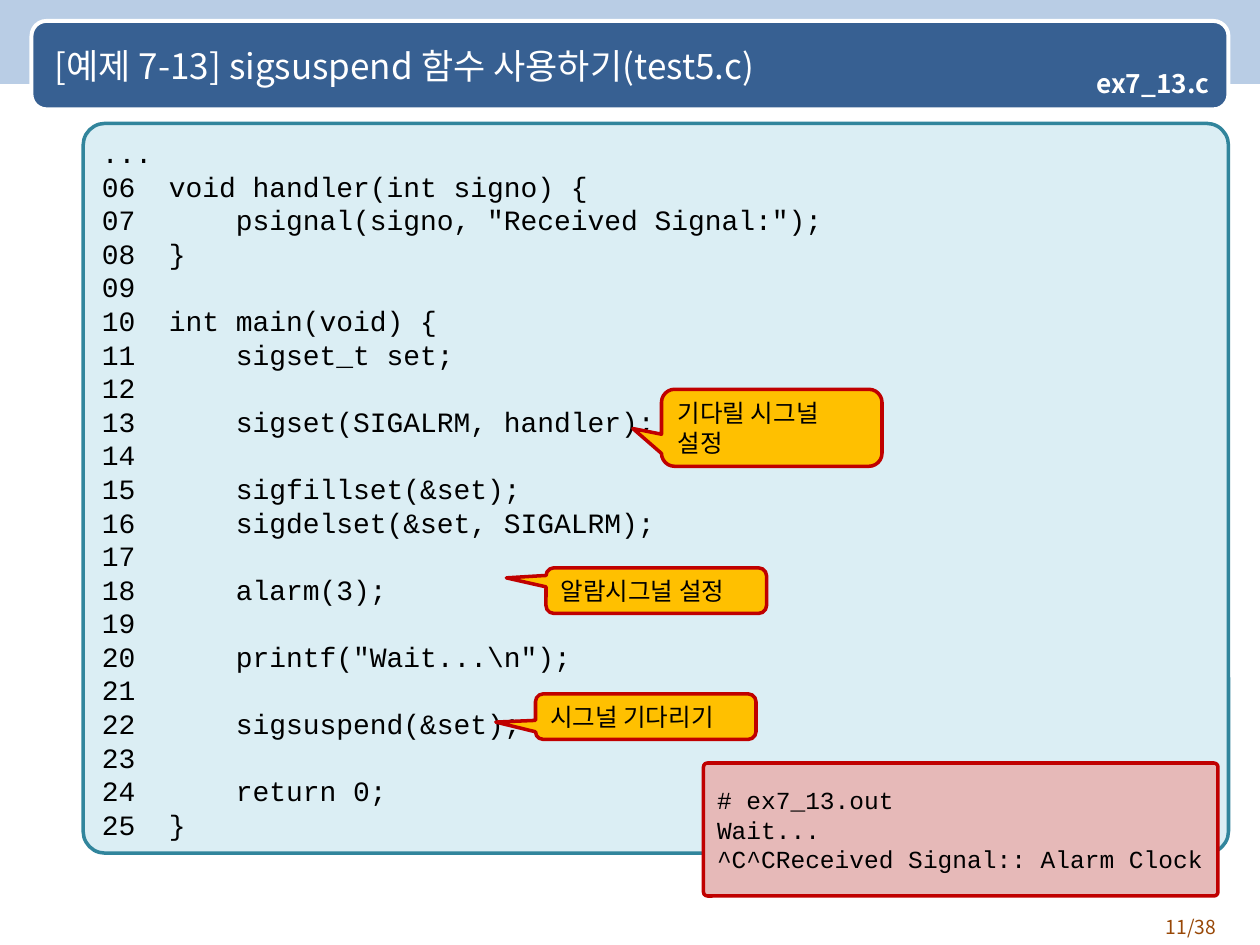
"""Build the slide that explains a sigsuspend code example."""
from dataclasses import dataclass

from lxml import etree
from pptx import Presentation
from pptx.dml.color import RGBColor
from pptx.enum.shapes import MSO_SHAPE
from pptx.enum.text import MSO_ANCHOR, MSO_AUTO_SIZE, PP_ALIGN
from pptx.oxml.ns import qn
from pptx.util import Pt

RECTANGLE = MSO_SHAPE.RECTANGLE
ROUNDED = MSO_SHAPE.ROUNDED_RECTANGLE
CALLOUT = MSO_SHAPE.ROUNDED_RECTANGULAR_CALLOUT
LEFT, RIGHT = PP_ALIGN.LEFT, PP_ALIGN.RIGHT
MIDDLE, NO_FIT = MSO_ANCHOR.MIDDLE, MSO_AUTO_SIZE.NONE


@dataclass(frozen=True)
class Theme:
    sans: str = "Noto Sans CJK KR"
    mono: str = "Courier New"
    band: str = "B9CDE5"
    bar: str = "376092"
    white: str = "FFFFFF"
    black: str = "000000"
    code_fill: str = "DBEEF4"
    code_line: str = "31859C"
    output_fill: str = "E6B9B8"
    note_fill: str = "FFC000"
    accent: str = "C00000"
    page: str = "984807"
    title_size: float = 20
    code_size: float = 16
    file_size: float = 15
    note_size: float = 14
    page_size: float = 11
    bar_line: float = 2.25
    box_line: float = 2


THEME = Theme()
TITLE = "[예제 7-13] sigsuspend 함수 사용하기(test5.c)"
FILE_NAME = "ex7_13.c"
PAGE = "11/38"
FIRST_LINE = 6
CODE = [
    "void handler(int signo) {",
    '    psignal(signo, "Received Signal:");',
    "}",
    "",
    "int main(void) {",
    "    sigset_t set;",
    "",
    "    sigset(SIGALRM, handler);",
    "",
    "    sigfillset(&set);",
    "    sigdelset(&set, SIGALRM);",
    "",
    "    alarm(3);",
    "",
    '    printf("Wait...\\n");',
    "",
    "    sigsuspend(&set);",
    "",
    "    return 0;",
    "}",
]
OUTPUT = ["# ex7_13.out", "Wait...", "^C^CReceived Signal:: Alarm Clock"]
NOTE_WIDTH = 126
NOTES = [
    ("기다릴 시그널 설정", 378, 222.5, 44, (-0.63, 0.01)),
    ("알람시그널 설정", 312, 324.5, 26, (-0.68, -0.28)),
    ("시그널 기다리기", 306, 396.5, 26, (-0.68, 0.12)),
]


def color(value):
    return RGBColor.from_string(value)


def add_box(slide, kind, frame, fill, line=None, width=THEME.box_line, adjustments=()):
    shape = slide.shapes.add_shape(kind, *map(Pt, frame))
    shape.shadow.inherit = False
    shape.fill.solid()
    shape.fill.fore_color.rgb = color(fill)
    if line:
        shape.line.color.rgb = color(line)
        shape.line.width = Pt(width)
    else:
        shape.line.fill.background()
    for index, value in enumerate(adjustments):
        shape.adjustments[index] = value
    return shape


def write(shape, lines, size, ink, font, align=LEFT, bold=False):
    text_frame = shape.text_frame
    text_frame.text = "\n".join(lines)
    text_frame.word_wrap = True
    text_frame.auto_size = NO_FIT
    text_frame.vertical_anchor = MIDDLE
    for paragraph in text_frame.paragraphs:
        paragraph.alignment = align
        for run in paragraph.runs:
            run.font.size = Pt(size)
            run.font.bold = bold
            run.font.color.rgb = color(ink)
            run.font.name = font
            properties = run.font._element
            east_asian = etree.SubElement(properties, qn("a:ea"))
            east_asian.set("typeface", font)


def add_header(slide):
    add_box(slide, RECTANGLE, (0, 0, 720, 48), THEME.band)
    bar = add_box(slide, ROUNDED, (18, 12, 684, 50.5), THEME.bar,
                  THEME.white, THEME.bar_line, (0.17,))
    title = slide.shapes.title
    bar.element.addnext(title.element)
    title.left, title.top, title.width, title.height = map(Pt, (24, 13.5, 666, 48))
    write(title, [TITLE], THEME.title_size, THEME.white, THEME.sans)
    file_label = add_box(slide, RECTANGLE, (600, 36, 95.5, 25), THEME.bar)
    write(file_label, [FILE_NAME], THEME.file_size, THEME.white, THEME.sans, RIGHT, True)
    text_frame = file_label.text_frame
    text_frame.margin_left = text_frame.margin_right = Pt(4.5)
    text_frame.margin_top = text_frame.margin_bottom = Pt(4.5)
    text_frame.paragraphs[0].line_spacing = 0.9


def add_code(slide):
    numbered = [f"{number:02}  {line}".rstrip() for number, line in enumerate(CODE, FIRST_LINE)]
    code_box = add_box(slide, ROUNDED, (47.5, 70.5, 654.5, 417), THEME.code_fill,
                       THEME.code_line, adjustments=(0.03,))
    write(code_box, ["..."] + numbered, THEME.code_size, THEME.black, THEME.mono)
    output_box = add_box(slide, ROUNDED, (402, 436, 294, 76), THEME.output_fill,
                         THEME.accent, adjustments=(0.03,))
    write(output_box, OUTPUT, THEME.note_size, THEME.black, THEME.mono)


def add_notes(slide):
    for text, left, top, height, tip in NOTES:
        note = add_box(slide, CALLOUT, (left, top, NOTE_WIDTH, height), THEME.note_fill,
                       THEME.accent, adjustments=(*tip, 0.17))
        write(note, [text], THEME.note_size, THEME.black, THEME.sans)


def main():
    presentation = Presentation()
    presentation.slide_width, presentation.slide_height = Pt(720), Pt(540)
    slide = presentation.slides.add_slide(presentation.slide_layouts[5])
    add_header(slide)
    add_code(slide)
    add_notes(slide)
    page_label = slide.shapes.add_textbox(*map(Pt, (642, 519, 60, 21)))
    write(page_label, [PAGE], THEME.page_size, THEME.page, THEME.sans, RIGHT)
    presentation.save("out.pptx")


if __name__ == "__main__":
    main()
